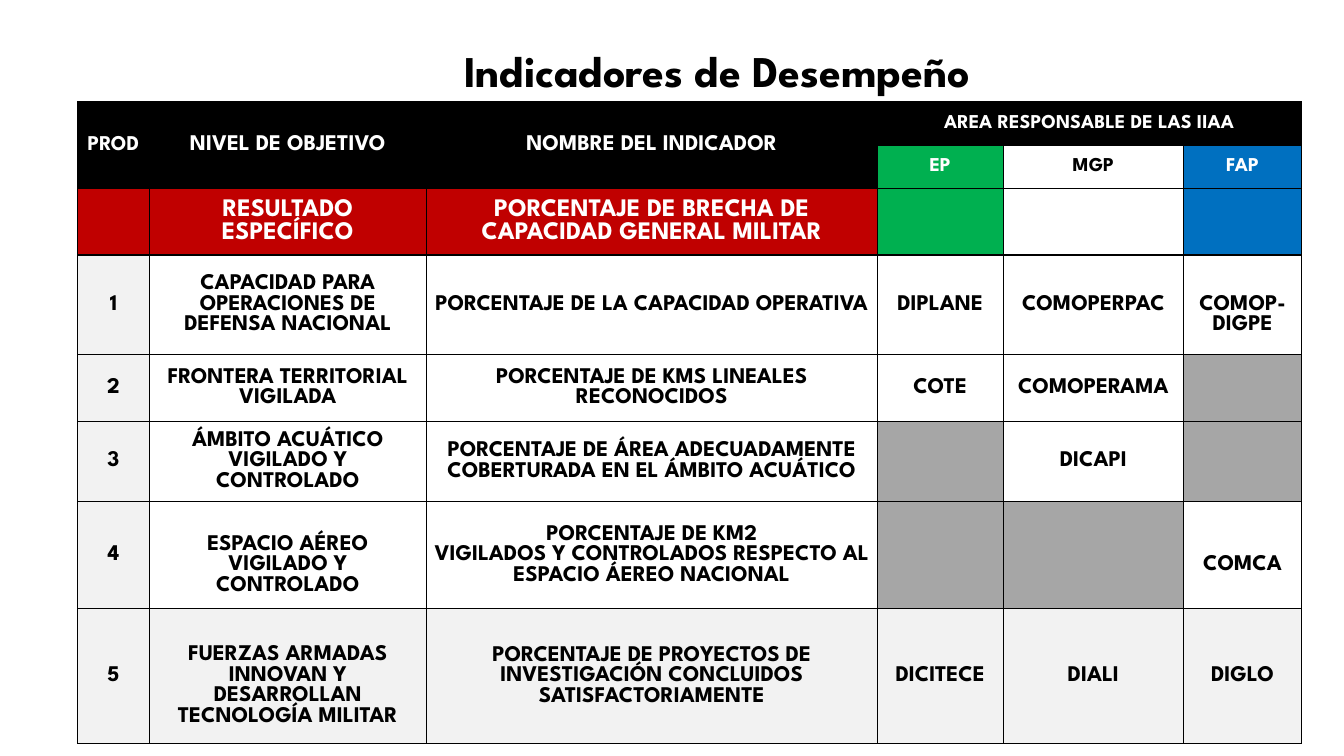
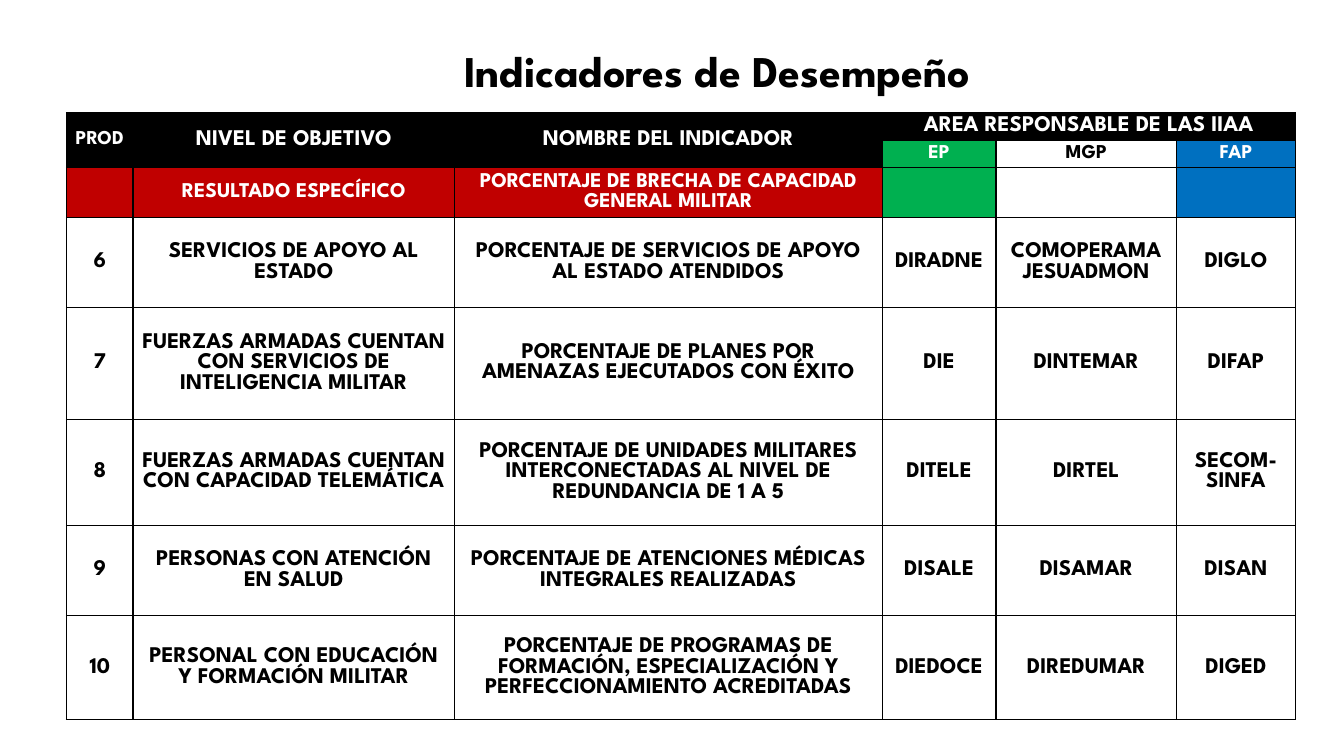
from lxml import etree
from pptx import Presentation, util as u
from pptx.dml.color import RGBColor
from pptx.enum import text
from pptx.oxml import ns

COLORS = {
    "black": "000000", "white": "FFFFFF", "red": "C00000", "green": "00B050",
    "blue": "0070C0", "gray": "A6A6A6", "pale": "F2F2F2",
}
FONT = "League Spartan"
SLIDE_W, SLIDE_H = 13.33, 7.5
TITLE = "Indicadores de Desempeño"
LINE = 0.2          # height of one body line
BODY_SIZE = 16
FIRST_BODY_ROW = 3
FORCE_FILLS = ["green", "white", "blue"]
HEADERS = ["PROD", "NIVEL DE OBJETIVO", "NOMBRE DEL INDICADOR",
           "AREA RESPONSABLE DE LAS IIAA"]
FORCES = ["EP", "MGP", "FAP"]
RESULT = ["", "RESULTADO ESPECÍFICO",
          "PORCENTAJE DE BRECHA DE CAPACIDAD GENERAL MILITAR"]

# One entry per slide; None marks a force without a responsible area,
# "lowered" lists the (row, column) cells whose text sits a line lower.
TABLES = [
    {
        "at": (0.77, 1.01), "first": 1, "shaded": True,
        "cols": [0.71, 2.75, 4.47, 1.25, 1.79, 1.17],
        "rows": [0.43, 0.43, 0.66, 0.99, 0.66, 0.8, 1.06, 1.34],
        "header_sizes": [15, 16, 16, 14], "result_size": 18,
        "lowered": {(3, 5), (6, 1), (6, 5), (7, 1)},
        "body": [
            ["CAPACIDAD PARA OPERACIONES DE DEFENSA NACIONAL",
             "PORCENTAJE DE LA CAPACIDAD OPERATIVA",
             "DIPLANE", "COMOPERPAC", "COMOP-\nDIGPE"],
            ["FRONTERA TERRITORIAL VIGILADA",
             "PORCENTAJE DE KMS LINEALES RECONOCIDOS",
             "COTE", "COMOPERAMA", None],
            ["ÁMBITO ACUÁTICO VIGILADO Y CONTROLADO",
             "PORCENTAJE DE ÁREA ADECUADAMENTE COBERTURADA EN EL ÁMBITO ACUÁTICO",
             None, "DICAPI", None],
            ["ESPACIO AÉREO VIGILADO Y CONTROLADO",
             "PORCENTAJE DE KM2\nVIGILADOS Y CONTROLADOS RESPECTO AL "
             "ESPACIO ÁEREO NACIONAL",
             None, None, "COMCA"],
            ["FUERZAS ARMADAS INNOVAN Y DESARROLLAN TECNOLOGÍA MILITAR",
             "PORCENTAJE DE PROYECTOS DE INVESTIGACIÓN CONCLUIDOS "
             "SATISFACTORIAMENTE",
             "DICITECE", "DIALI", "DIGLO"],
        ],
    },
    {
        "at": (0.66, 1.12), "first": 6, "shaded": False,
        "cols": [0.66, 3.19, 4.24, 1.13, 1.79, 1.18],
        "rows": [0.27, 0.27, 0.5, 0.89, 1.11, 1.05, 0.9, 1.03],
        "header_sizes": [14, 16, 16, 16], "result_size": 15,
        "lowered": set(),
        "body": [
            ["SERVICIOS DE APOYO AL ESTADO",
             "PORCENTAJE DE SERVICIOS DE APOYO AL ESTADO ATENDIDOS",
             "DIRADNE", "COMOPERAMA\nJESUADMON", "DIGLO"],
            ["FUERZAS ARMADAS CUENTAN CON SERVICIOS DE INTELIGENCIA MILITAR",
             "PORCENTAJE DE PLANES POR AMENAZAS EJECUTADOS CON ÉXITO",
             "DIE", "DINTEMAR", "DIFAP"],
            ["FUERZAS ARMADAS CUENTAN CON CAPACIDAD TELEMÁTICA",
             "PORCENTAJE DE UNIDADES MILITARES INTERCONECTADAS AL NIVEL DE "
             "REDUNDANCIA DE 1 A 5",
             "DITELE", "DIRTEL", "SECOM- SINFA"],
            ["PERSONAS CON ATENCIÓN EN SALUD",
             "PORCENTAJE DE ATENCIONES MÉDICAS INTEGRALES REALIZADAS",
             "DISALE", "DISAMAR", "DISAN"],
            ["PERSONAL CON EDUCACIÓN Y FORMACIÓN MILITAR",
             "PORCENTAJE DE PROGRAMAS DE FORMACIÓN, ESPECIALIZACIÓN Y "
             "PERFECCIONAMIENTO ACREDITADAS",
             "DIEDOCE", "DIREDUMAR", "DIGED"],
        ],
    },
]


def rgb(name):
    return RGBColor.from_string(COLORS[name])


def set_attrs(obj, **values):
    for name, value in values.items():
        setattr(obj, name, value)


def write(p, words, size, color):
    """Put one bold, centred run in a paragraph."""
    p.alignment = text.PP_ALIGN.CENTER
    r = p.add_run()
    r.text = words
    set_attrs(r.font, name=FONT, size=u.Pt(size), bold=True)
    r.font.color.rgb = rgb(color)
    return r


def add_title(s):
    box = s.shapes.add_textbox(u.Inches(1.17), u.Inches(0.23),
                               u.Inches(11.89), u.Inches(0.75))
    tf = box.text_frame
    set_attrs(tf, word_wrap=True, auto_size=text.MSO_AUTO_SIZE.SHAPE_TO_FIT_TEXT)
    p = tf.paragraphs[0]
    p.line_spacing = 1.07
    r = write(p, TITLE, 54, "black")
    r.font._element.set("baseline", "30000")


def add_borders(cell):
    tc_pr = cell._tc.get_or_add_tcPr()
    for side in "LRTB":
        ln = etree.SubElement(tc_pr, ns.qn("a:ln" + side), w=str(u.Pt(1)))
        fill = etree.SubElement(ln, ns.qn("a:solidFill"))
        etree.SubElement(fill, ns.qn("a:srgbClr"), val=COLORS["black"])


def fill_cell(cell, words, fill, size=BODY_SIZE, color="black", lowered=False):
    add_borders(cell)
    cell.fill.solid()
    cell.fill.fore_color.rgb = rgb(fill)
    set_attrs(cell, vertical_anchor=text.MSO_ANCHOR.MIDDLE,
              margin_left=u.Inches(0.07), margin_right=u.Inches(0.07),
              margin_top=u.Inches(LINE if lowered else 0), margin_bottom=0)
    tf = cell.text_frame
    for i, line in enumerate(words.split("\n")):
        p = tf.add_paragraph() if i else tf.paragraphs[0]
        write(p, line, size, color)


def fill_header(table, spec):
    # Merged headings
    for c in range(3):
        table.cell(0, c).merge(table.cell(1, c))
    table.cell(0, 3).merge(table.cell(0, 5))
    sizes = spec["header_sizes"]
    for c in range(6):
        words = HEADERS[c] if c < 4 else ""
        fill_cell(table.cell(0, c), words, "black", sizes[min(c, 3)], "white")
        if c < 3:
            fill_cell(table.cell(1, c), "", "black", sizes[c], "white")
            fill_cell(table.cell(2, c), RESULT[c], "red",
                      spec["result_size"], "white")
    # Force names and the coloured cells under them
    for c, (force, fill) in enumerate(zip(FORCES, FORCE_FILLS), 3):
        color = "black" if fill == "white" else "white"
        fill_cell(table.cell(1, c), force, fill, 14, color)
        fill_cell(table.cell(2, c), "", fill)


def fill_body(table, spec):
    last = len(spec["rows"]) - 1
    for i, entries in enumerate(spec["body"]):
        row = FIRST_BODY_ROW + i
        for c, words in enumerate([str(spec["first"] + i)] + entries):
            pale = spec["shaded"] and (c == 0 or row == last)
            fill = "gray" if words is None else "pale" if pale else "white"
            fill_cell(table.cell(row, c), words or "", fill,
                      lowered=(row, c) in spec["lowered"])


def add_indicators(s, spec):
    cols, rows = spec["cols"], spec["rows"]
    box = [u.Inches(v) for v in (*spec["at"], sum(cols), sum(rows))]
    table = s.shapes.add_table(len(rows), len(cols), *box).table
    set_attrs(table, first_row=False, horz_banding=False)
    for col, width in zip(table.columns, cols):
        col.width = u.Inches(width)
    for row, height in zip(table.rows, rows):
        row.height = u.Inches(height)
    fill_header(table, spec)
    fill_body(table, spec)


def main():
    prs = Presentation()
    set_attrs(prs, slide_width=u.Inches(SLIDE_W), slide_height=u.Inches(SLIDE_H))
    for spec in TABLES:
        s = prs.slides.add_slide(prs.slide_layouts[6])
        add_title(s)
        add_indicators(s, spec)
    prs.save("out.pptx")


if __name__ == "__main__":
    main()
